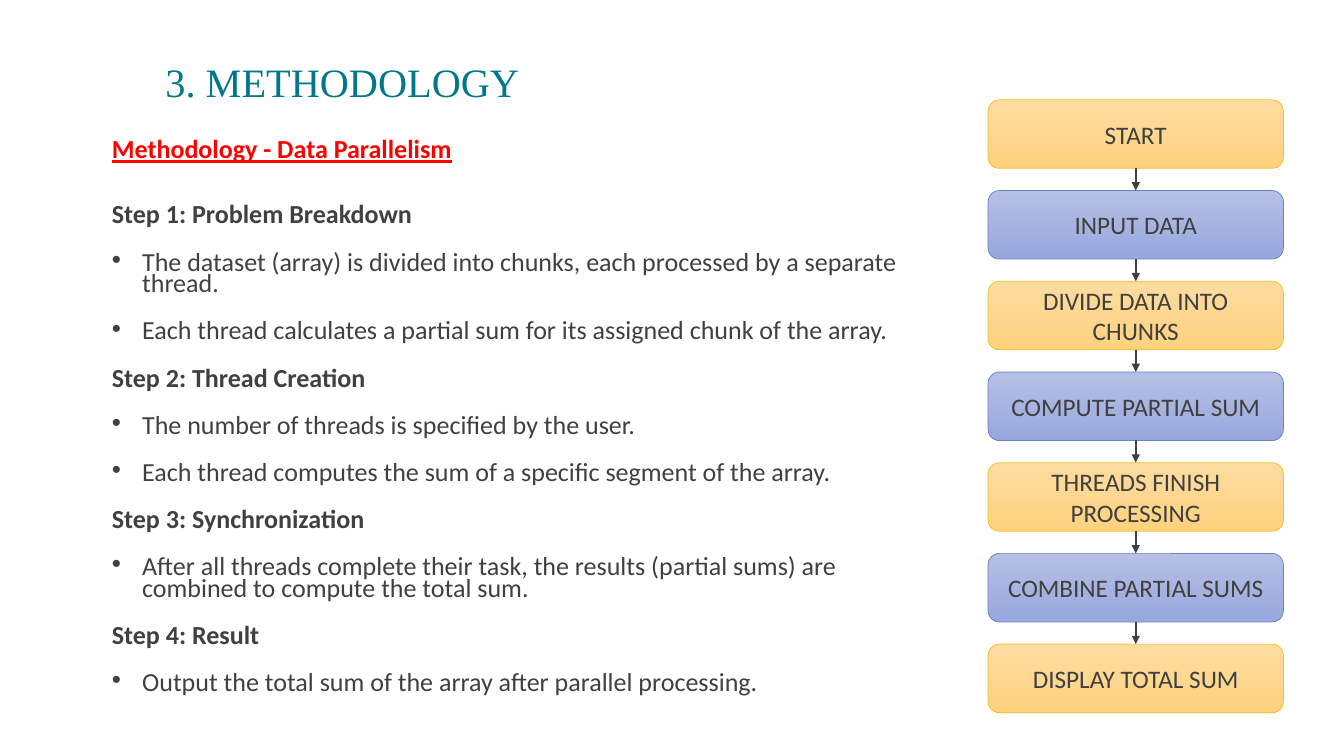
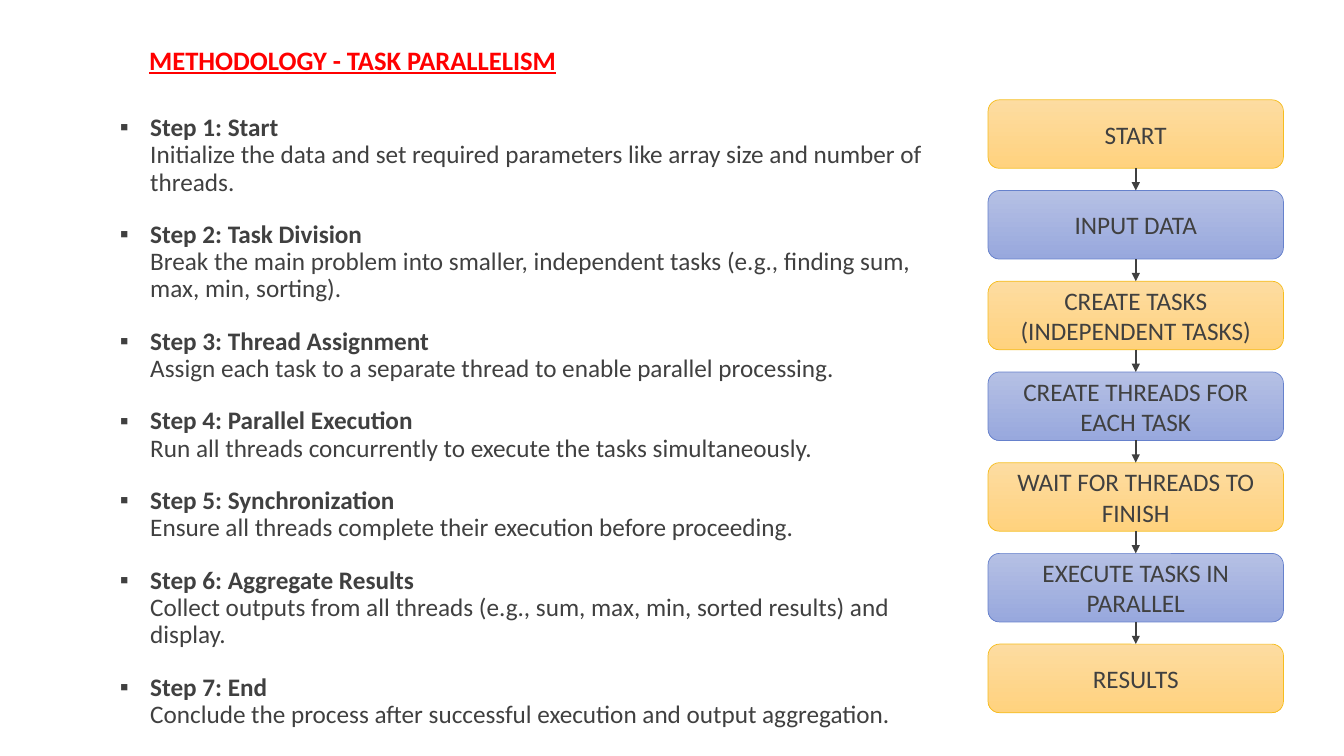
from dataclasses import dataclass
from itertools import cycle, pairwise

from lxml.etree import SubElement
from pptx import Presentation
from pptx.dml.color import RGBColor
from pptx.enum.shapes import MSO_CONNECTOR, MSO_SHAPE
from pptx.enum.text import MSO_ANCHOR, MSO_AUTO_SIZE, PP_ALIGN
from pptx.oxml.ns import qn
from pptx.util import Inches, Pt


@dataclass(frozen=True)
class Theme:
    sans: str = "Calibri"
    serif: str = "Times New Roman"
    ink: str = "404040"
    teal: str = "00778D"
    red: str = "FF0000"
    amber: tuple = ("FDDCA1", "FFD27E", "F6BD1E")
    blue: tuple = ("B5C0E4", "98A8DD", "6681CC")
    heading_size: float = 28.8
    topic_size: float = 19
    steps_size: float = 18.6
    text_size: float = 18


THEME = Theme()

DATA_TOPIC = "Methodology - Data Parallelism"
DATA_STEPS = [
    ("Step 1: Problem Breakdown", [
        "The dataset (array) is divided into chunks, each processed by a separate thread.",
        "Each thread calculates a partial sum for its assigned chunk of the array.",
    ]),
    ("Step 2: Thread Creation", [
        "The number of threads is specified by the user.",
        "Each thread computes the sum of a specific segment of the array.",
    ]),
    ("Step 3: Synchronization", [
        "After all threads complete their task, the results (partial sums) are "
        "combined to compute the total sum.",
    ]),
    ("Step 4: Result", [
        "Output the total sum of the array after parallel processing.",
    ]),
]
DATA_FLOW = [
    "START", "INPUT DATA", "DIVIDE DATA INTO CHUNKS", "COMPUTE PARTIAL SUM",
    "THREADS FINISH PROCESSING", "COMBINE PARTIAL SUMS", "DISPLAY TOTAL SUM",
]

TASK_STEPS = [
    ("Step 1: Start",
     "Initialize the data and set required parameters like array size and number of threads."),
    ("Step 2: Task Division",
     "Break the main problem into smaller, independent tasks (e.g., finding sum, max, min, sorting)."),
    ("Step 3: Thread Assignment",
     "Assign each task to a separate thread to enable parallel processing."),
    ("Step 4: Parallel Execution",
     "Run all threads concurrently to execute the tasks simultaneously."),
    ("Step 5: Synchronization",
     "Ensure all threads complete their execution before proceeding."),
    ("Step 6: Aggregate Results",
     "Collect outputs from all threads (e.g., sum, max, min, sorted results) and display."),
    ("Step 7: End",
     "Conclude the process after successful execution and output aggregation."),
]
TASK_FLOW = [
    "START", "INPUT DATA", "CREATE TASKS (INDEPENDENT TASKS)",
    "CREATE THREADS FOR EACH TASK", "WAIT FOR THREADS TO FINISH",
    "EXECUTE TASKS IN PARALLEL", "RESULTS",
]


def style_run(run, size, color=THEME.ink, face=THEME.sans, bold=False, underline=False):
    run.font.size = Pt(size)
    run.font.name = face
    run.font.bold = bold
    run.font.underline = underline
    run.font.color.rgb = RGBColor.from_string(color)


def place(placeholder, left, top, width, height, anchor):
    placeholder.left, placeholder.top = Inches(left), Inches(top)
    placeholder.width, placeholder.height = Inches(width), Inches(height)
    frame = placeholder.text_frame
    frame.word_wrap = True
    frame.auto_size = MSO_AUTO_SIZE.NONE
    frame.vertical_anchor = anchor
    return frame


def set_title(slide, text, box, size, **style):
    frame = place(slide.shapes.title, *box, MSO_ANCHOR.BOTTOM)
    frame.text = text
    heading = frame.paragraphs[0]
    heading.alignment = PP_ALIGN.LEFT
    heading.line_spacing = 0.85
    style_run(heading.runs[0], size, **style)


def next_paragraph(frame):
    first = frame.paragraphs[0]
    return frame.add_paragraph() if first.runs else first


def add_item(frame, text, size, spacing, bullet=None, before=18, after=0):
    item = next_paragraph(frame)
    item.text = text
    item.alignment = PP_ALIGN.LEFT
    item.line_spacing = spacing
    item.space_before, item.space_after = Pt(before), Pt(after)
    indent = Inches(0.3) if bullet else 0
    properties = item._p.get_or_add_pPr()
    properties.set("marL", str(indent))
    properties.set("indent", str(-indent))
    if bullet:
        SubElement(properties, qn("a:buFont"), typeface="Arial")
        SubElement(properties, qn("a:buChar"), char=bullet)
    else:
        SubElement(properties, qn("a:buNone"))
    for line_break in item._p.findall(qn("a:br")):
        SubElement(line_break, qn("a:rPr"), sz=str(round(size * 100)))
    for run in item.runs:
        style_run(run, size)
    return item


def add_stage(slide, label, top, palette):
    start, end, outline = (RGBColor.from_string(color) for color in palette)
    stage = slide.shapes.add_shape(
        MSO_SHAPE.ROUNDED_RECTANGLE, Inches(9.8), Inches(top), Inches(2.93), Inches(0.68))
    stage.shadow.inherit = False
    stage.fill.gradient()
    stage.fill.gradient_angle = 270
    for stop, color in zip(stage.fill.gradient_stops, (start, end)):
        stop.color.rgb = color
    stage.line.color.rgb = outline
    stage.line.width = Pt(0.5)
    frame = stage.text_frame
    frame.word_wrap = True
    frame.vertical_anchor = MSO_ANCHOR.MIDDLE
    frame.text = label
    frame.paragraphs[0].alignment = PP_ALIGN.CENTER
    style_run(frame.paragraphs[0].runs[0], THEME.text_size)
    return stage


def add_arrow(slide, upper, lower):
    arrow = slide.shapes.add_connector(MSO_CONNECTOR.STRAIGHT, 0, 0, 0, 0)
    arrow.begin_connect(upper, 2)
    arrow.end_connect(lower, 0)
    arrow.line.color.rgb = RGBColor.from_string(THEME.ink)
    arrow.line.width = Pt(1.5)
    SubElement(arrow.line._get_or_add_ln(), qn("a:tailEnd"), type="triangle")
    SubElement(arrow._element.spPr, qn("a:effectLst"))


def add_flow(slide, labels):
    palettes = cycle((THEME.amber, THEME.blue))
    stages = [add_stage(slide, label, 0.99 + 0.9 * row, palette)
              for row, (label, palette) in enumerate(zip(labels, palettes))]
    for upper, lower in pairwise(stages):
        add_arrow(slide, upper, lower)


def build_data_slide(slide):
    set_title(slide, "3. METHODOLOGY", (1.54, 0.42, 10.25, 0.68),
              THEME.heading_size, color=THEME.teal, face=THEME.serif)
    frame = place(slide.placeholders[1], 1.01, 1.29, 8.49, 5.79, MSO_ANCHOR.TOP)
    topic = add_item(frame, DATA_TOPIC, THEME.steps_size, 0.94, before=12, after=12)
    style_run(topic.runs[0], THEME.steps_size, THEME.red, bold=True, underline=True)
    for step, details in DATA_STEPS:
        add_item(frame, step, THEME.steps_size, 0.7).runs[0].font.bold = True
        for detail in details:
            add_item(frame, detail, THEME.steps_size, 0.7, bullet="•")
    add_flow(slide, DATA_FLOW)


def build_task_slide(slide):
    set_title(slide, "METHODOLOGY - TASK PARALLELISM", (1.38, 0.29, 10.25, 0.51),
              THEME.topic_size, color=THEME.red, bold=True, underline=True)
    frame = place(slide.placeholders[1], 1.09, 1.06, 8.23, 6.25, MSO_ANCHOR.MIDDLE)
    for step, detail in TASK_STEPS:
        item = add_item(frame, f"{step}\v{detail}", THEME.text_size, 0.9, bullet="▪")
        item.runs[0].font.bold = True
    add_flow(slide, TASK_FLOW)


def main():
    deck = Presentation()
    deck.slide_width, deck.slide_height = Inches(13.33), Inches(7.5)
    for build in (build_data_slide, build_task_slide):
        build(deck.slides.add_slide(deck.slide_layouts[1]))
    deck.save("out.pptx")


if __name__ == "__main__":
    main()
